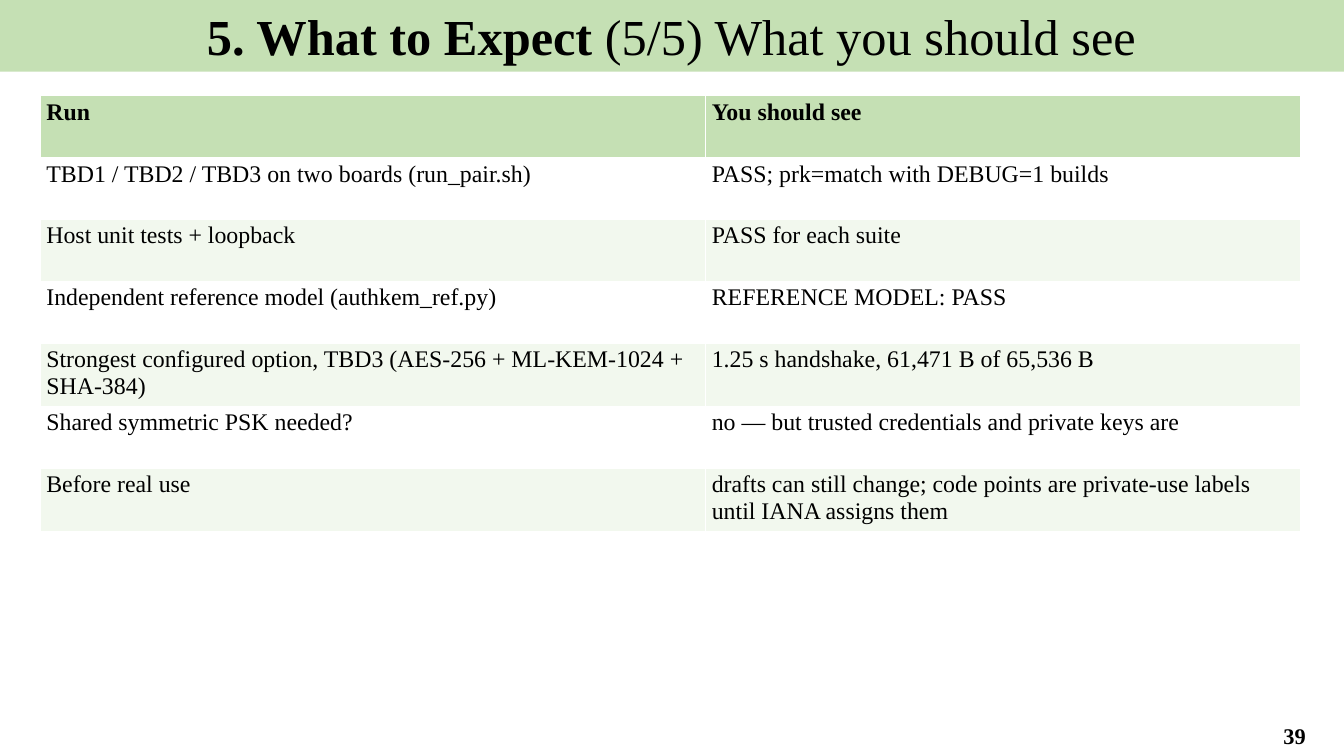
from dataclasses import dataclass

from pptx import Presentation
from pptx.dml.color import RGBColor
from pptx.enum.shapes import MSO_SHAPE
from pptx.enum.text import MSO_ANCHOR, PP_ALIGN
from pptx.slide import Slide
from pptx.table import _Cell
from pptx.util import Inches, Pt

RECT = MSO_SHAPE.RECTANGLE
TOP, MIDDLE = MSO_ANCHOR.TOP, MSO_ANCHOR.MIDDLE
CENTER = PP_ALIGN.CENTER

FONT = "Times New Roman"
BLACK, WHITE = "000000", "FFFFFF"
GREEN, PALE_GREEN = "C5E0B4", "F2F8EE"
COLUMN_WIDTHS = (6.6, 5.9)
TABLE_HEIGHT = 4.3


@dataclass
class Check:
    run: str
    expected: str


HEADER = Check("Run", "You should see")
CHECKS = [
    Check("TBD1 / TBD2 / TBD3 on two boards (run_pair.sh)",
          "PASS; prk=match with DEBUG=1 builds"),
    Check("Host unit tests + loopback", "PASS for each suite"),
    Check("Independent reference model (authkem_ref.py)", "REFERENCE MODEL: PASS"),
    Check("Strongest configured option, TBD3 (AES-256 + ML-KEM-1024 + SHA-384)",
          "1.25 s handshake, 61,471 B of 65,536 B"),
    Check("Shared symmetric PSK needed?",
          "no — but trusted credentials and private keys are"),
    Check("Before real use",
          "drafts can still change; code points are private-use labels "
          "until IANA assigns them"),
]


def color(value: str) -> RGBColor:
    return RGBColor.from_string(value)


def format_run(r, size: float, bold: bool) -> None:
    r.font.name = FONT
    r.font.size = Pt(size)
    r.font.bold = bold
    r.font.color.rgb = color(BLACK)


def add_title(slide: Slide, heading: str, detail: str) -> None:
    sp = slide.shapes.add_shape(RECT, Inches(-0.01), 0, Inches(13.34), Inches(0.71))
    sp.shadow.inherit = False
    sp.fill.solid()
    sp.fill.fore_color.rgb = color(GREEN)
    sp.line.fill.background()
    tf = sp.text_frame
    tf.word_wrap = True
    tf.vertical_anchor = TOP
    p = tf.paragraphs[0]
    p.alignment = CENTER
    for text, bold in ((heading, True), (detail, False)):
        r = p.add_run()
        r.text = text
        format_run(r, 36, bold)


def add_page_number(slide: Slide, number: str) -> None:
    sp = slide.shapes.add_textbox(Inches(12.35), Inches(7.1), Inches(0.98), Inches(0.39))
    tf = sp.text_frame
    tf.word_wrap = True
    tf.vertical_anchor = MIDDLE
    tf.text = number
    p = tf.paragraphs[0]
    p.alignment = CENTER
    format_run(p.runs[0], 16, True)


def fill_cell(cell: _Cell, text: str, fill: str, bold: bool) -> None:
    cell.fill.solid()
    cell.fill.fore_color.rgb = color(fill)
    cell.margin_left = cell.margin_right = Inches(0.06)
    cell.margin_top = cell.margin_bottom = Inches(0.03)
    cell.text_frame.text = text
    format_run(cell.text_frame.paragraphs[0].runs[0], 17, bold)


def add_checks(slide: Slide) -> None:
    rows = [HEADER, *CHECKS]
    table = slide.shapes.add_table(
        len(rows), len(COLUMN_WIDTHS), Inches(0.4), Inches(0.95),
        Inches(sum(COLUMN_WIDTHS)), Inches(TABLE_HEIGHT)).table
    for column, width in zip(table.columns, COLUMN_WIDTHS):
        column.width = Inches(width)
    for i, check in enumerate(rows):
        is_header = i == 0
        fill = GREEN if is_header else WHITE if i % 2 else PALE_GREEN
        for j, text in enumerate((check.run, check.expected)):
            fill_cell(table.cell(i, j), text, fill, is_header)


def main() -> None:
    prs = Presentation()
    prs.slide_width = Inches(13.33)
    prs.slide_height = Inches(7.5)
    slide = prs.slides.add_slide(prs.slide_layouts[6])
    add_title(slide, "5. What to Expect ", "(5/5) What you should see")
    add_page_number(slide, "39")
    add_checks(slide)
    prs.save("out.pptx")


if __name__ == "__main__":
    main()
